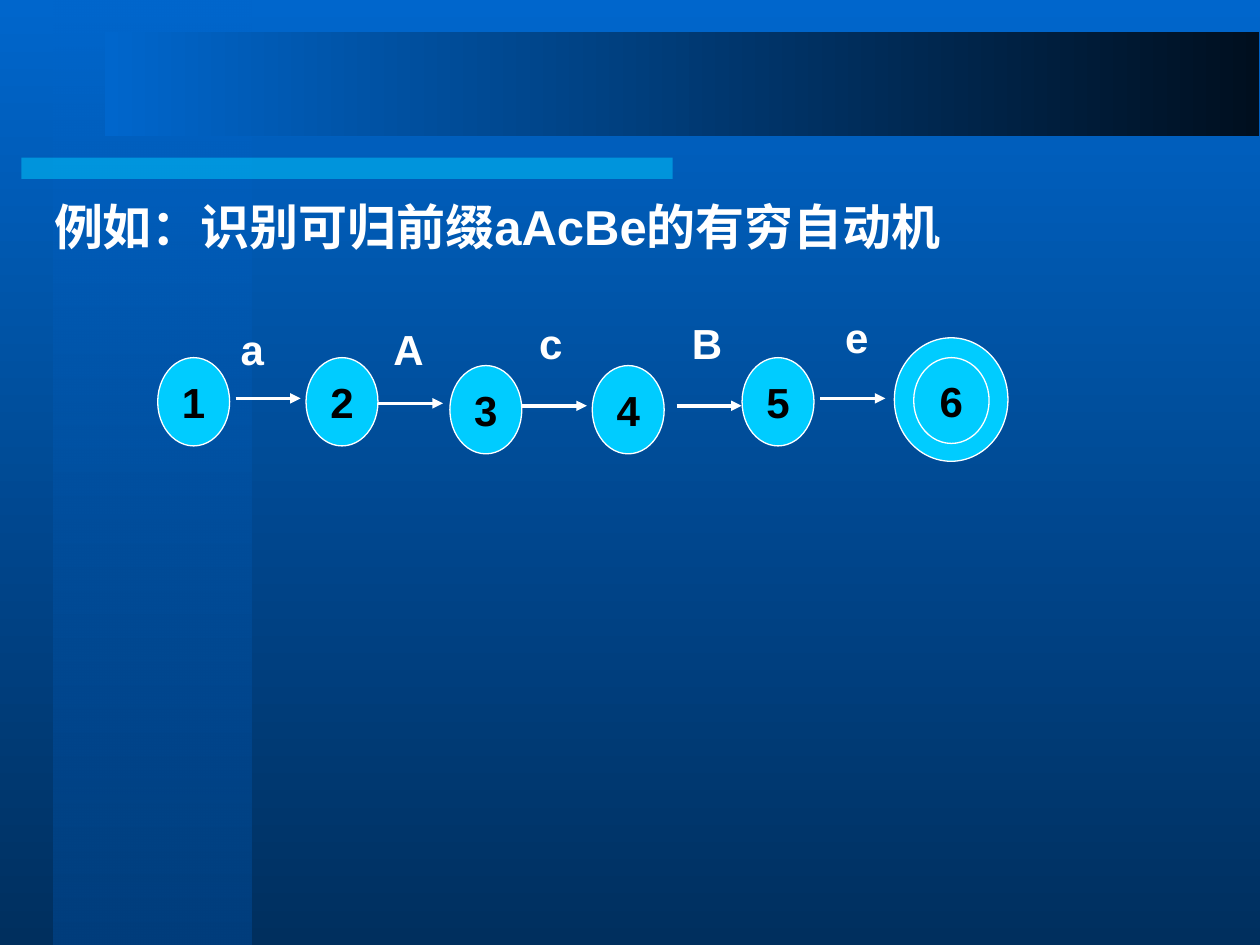
from dataclasses import dataclass

from lxml import etree
from pptx import Presentation
from pptx.dml.color import RGBColor
from pptx.enum.shapes import MSO_CONNECTOR, MSO_SHAPE
from pptx.enum.text import MSO_ANCHOR, MSO_AUTO_SIZE, PP_ALIGN
from pptx.oxml.ns import qn
from pptx.util import Cm, Pt

RECT, OVAL = MSO_SHAPE.RECTANGLE, MSO_SHAPE.OVAL
LINE = MSO_CONNECTOR.STRAIGHT
TOP, MID = MSO_ANCHOR.TOP, MSO_ANCHOR.MIDDLE
LEFT, MIDST = PP_ALIGN.LEFT, PP_ALIGN.CENTER
FIT, FIXED = MSO_AUTO_SIZE.SHAPE_TO_FIT_TEXT, MSO_AUTO_SIZE.NONE


@dataclass(frozen=True)
class Theme:
    font: str = "Arial"
    head: int = 28
    body: int = 24
    thin: float = 0.75
    bold: float = 2
    white: str = "FFFFFF"
    black: str = "000000"
    cyan: str = "00CCFF"
    blue: str = "0066CC"
    deep: str = "002F5E"
    navy: str = "003E7D"
    night: str = "000F1F"


@dataclass(frozen=True)
class Panel:
    box: tuple
    fill: tuple
    angle: int = 0
    clear: bool = False


@dataclass(frozen=True)
class State:
    name: str
    box: tuple


@dataclass(frozen=True)
class Move:
    sign: str
    start: tuple
    label: tuple


THEME = Theme()
REACH = 1.31
LABEL = (1.73, 1.27)
RING = (1.45, 1.78)
HIGH, LOW = 7.21, 7.37

PANELS = [
    Panel((1.07, 0, 4.01, 19.05), (THEME.blue, THEME.navy), 270, True),
    Panel((0.43, 3.18, 13.13, 0.43), (THEME.cyan,), clear=True),
    Panel((2.12, 0.64, 23.27, 2.11), (THEME.night, THEME.blue), 180),
]
STATES = [
    State("1", (3.18, HIGH, *RING)),
    State("2", (6.17, HIGH, *RING)),
    State("3", (9.07, LOW, *RING)),
    State("4", (11.94, LOW, *RING)),
    State("5", (14.96, HIGH, *RING)),
    State("", (18.03, 6.81, 2.29, 2.49)),
    State("6", (18.42, HIGH, 1.52, 1.73)),
]
MOVES = [
    Move("a", (4.75, 8.03), (4.22, 6.4)),
    Move("A", (7.62, 8.13), (7.37, 6.4)),
    Move("c", (10.52, 8.18), (10.24, 6.27)),
    Move("B", (13.64, 8.18), (13.39, 6.27)),
    Move("e", (16.54, 8.03), (16.41, 6.15)),
]


def rgb(code: str) -> RGBColor:
    return RGBColor.from_string(code)


def write(frame, text: str, *, size=THEME.body, color=THEME.white,
          align=MIDST, anchor=TOP, wrap=True, fit=FIT, lead=1.0) -> None:
    frame.auto_size, frame.word_wrap = fit, wrap
    frame.vertical_anchor = anchor
    frame.margin_left = frame.margin_right = Cm(0.25)
    frame.margin_top = frame.margin_bottom = Cm(0.13)
    para = frame.paragraphs[0]
    para.alignment, para.line_spacing = align, lead
    para.space_before = Pt(0)
    run = para.add_run()
    run.text = text
    run.font.name, run.font.size = THEME.font, Pt(size)
    run.font.bold = True
    run.font.color.rgb = rgb(color)


def blend(fill, tones: tuple, angle: int) -> None:
    fill.gradient()
    fill.gradient_angle = angle
    for stop, tone, place in zip(fill.gradient_stops, tones, (0, 1)):
        stop.color.rgb = rgb(tone)
        stop.position = place


def draw_panel(slide, panel: Panel) -> None:
    shape = slide.shapes.add_shape(RECT, *map(Cm, panel.box))
    shape.shadow.inherit = False
    shape.line.fill.background()
    if len(panel.fill) > 1:
        blend(shape.fill, panel.fill, panel.angle)
    else:
        shape.fill.solid()
        shape.fill.fore_color.rgb = rgb(panel.fill[0])
    if panel.clear:
        tone = shape.element.find(".//" + qn("a:srgbClr"))
        etree.SubElement(tone, qn("a:alpha"), val="50000")


def draw_state(slide, state: State) -> None:
    shape = slide.shapes.add_shape(OVAL, *map(Cm, state.box))
    shape.shadow.inherit = False
    shape.fill.solid()
    shape.fill.fore_color.rgb = rgb(THEME.cyan)
    shape.line.color.rgb = rgb(THEME.white)
    shape.line.width = Pt(THEME.thin)
    if state.name:
        write(shape.text_frame, state.name, color=THEME.black,
              anchor=MID, wrap=False, fit=FIXED)


def draw_move(slide, move: Move) -> None:
    left, top = move.start
    arrow = slide.shapes.add_connector(
        LINE, Cm(left), Cm(top), Cm(left + REACH), Cm(top))
    arrow.line.color.rgb = rgb(THEME.white)
    arrow.line.width = Pt(THEME.bold)
    props = arrow.element.find(qn("p:spPr"))
    etree.SubElement(props.find(qn("a:ln")), qn("a:tailEnd"), type="triangle")
    etree.SubElement(props, qn("a:effectLst"))
    label = slide.shapes.add_textbox(*map(Cm, move.label + LABEL))
    write(label.text_frame, move.sign)


def draw_title(slide, text: str) -> None:
    title = slide.shapes.title
    title.left, title.top, title.width, title.height = map(
        Cm, (0.84, 3.96, 18.85, 1.32))
    title.element.getparent().append(title.element)
    write(title.text_frame, text, size=THEME.head, align=LEFT,
          wrap=False, lead=0.9)


def main() -> None:
    deck = Presentation()
    deck.slide_width, deck.slide_height = Cm(25.4), Cm(19.05)
    slide = deck.slides.add_slide(deck.slide_layouts[5])
    blend(slide.background.fill, (THEME.blue, THEME.deep), 270)
    for panel in PANELS:
        draw_panel(slide, panel)
    draw_title(slide, "例如：识别可归前缀aAcBe的有穷自动机")
    for state in STATES:
        draw_state(slide, state)
    for move in MOVES:
        draw_move(slide, move)
    deck.save("out.pptx")


if __name__ == "__main__":
    main()
